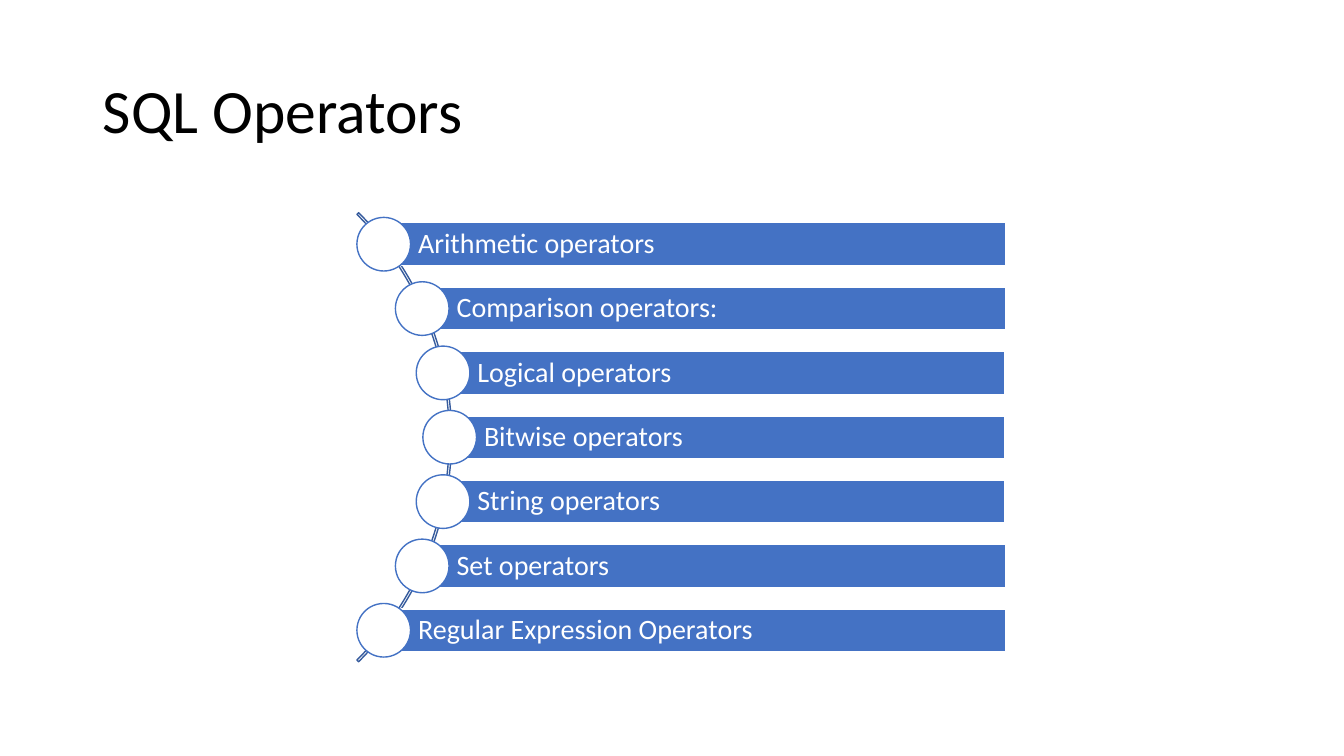
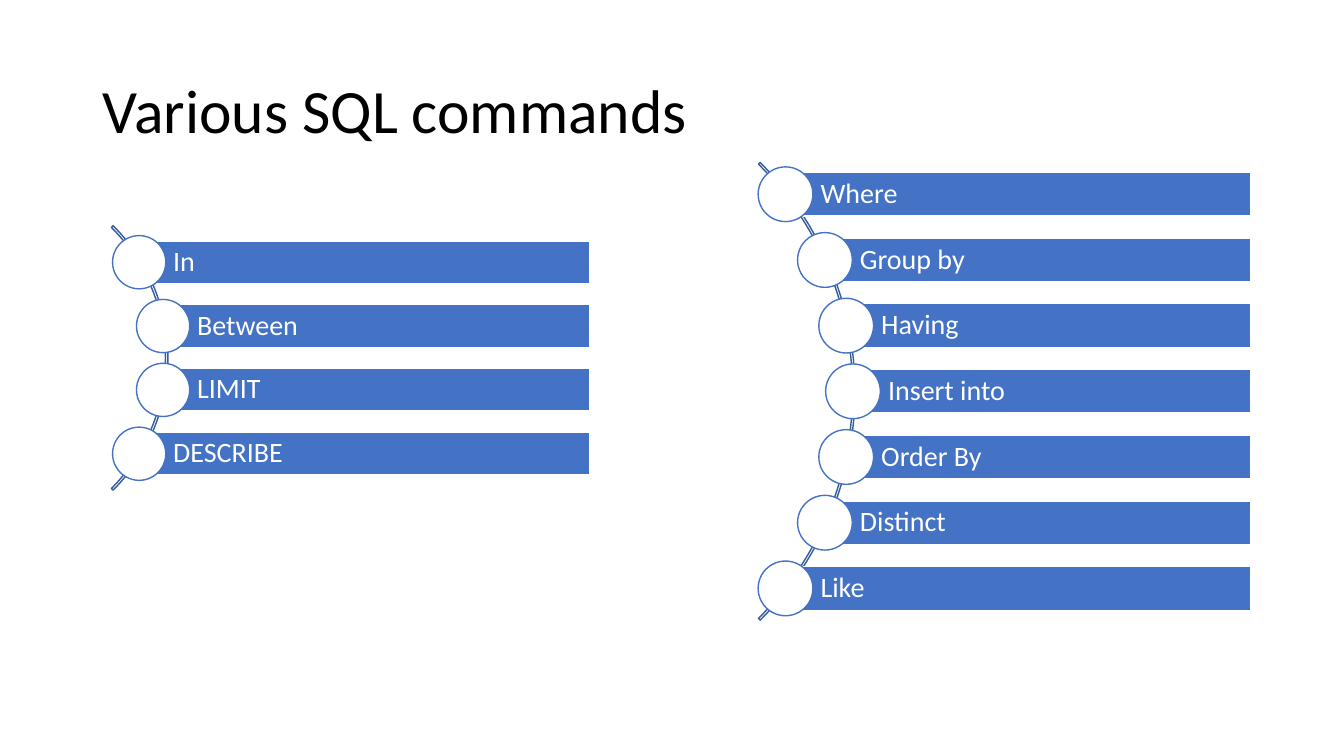
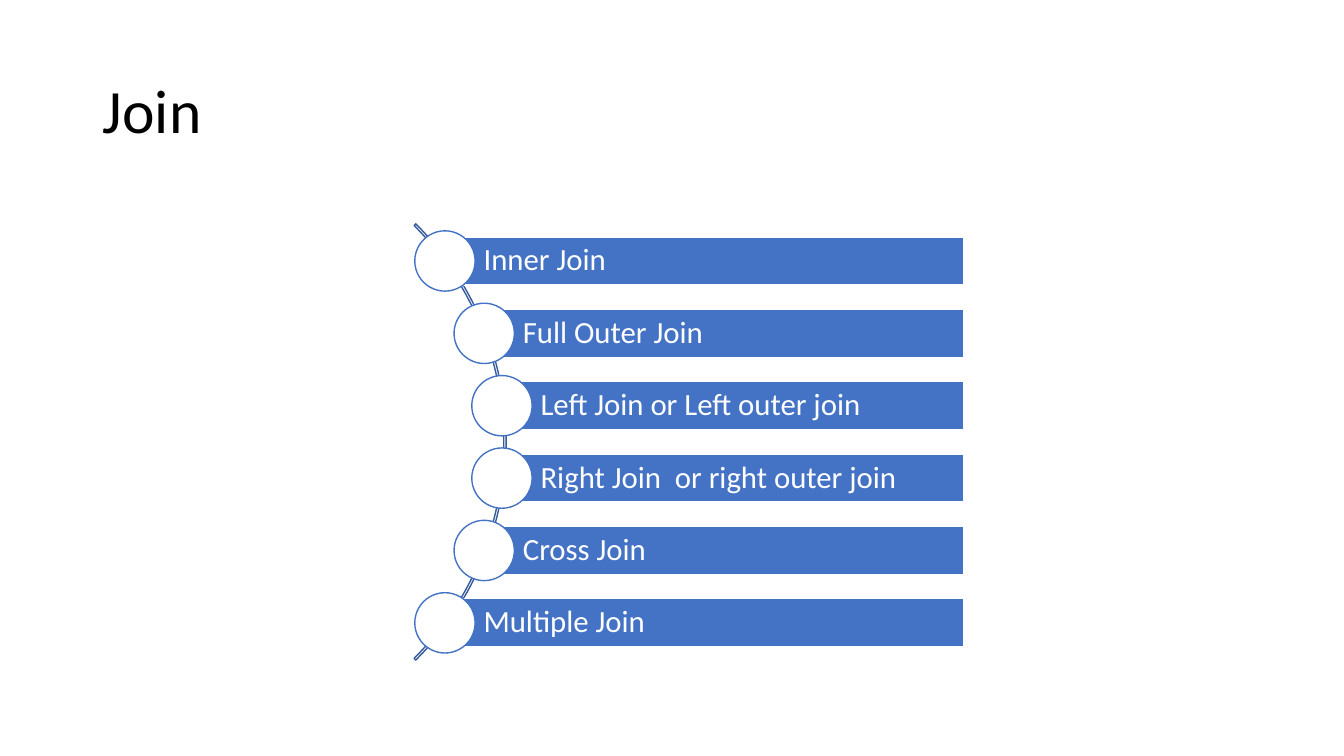
import math

import pptx
import pptx.dml.color
import pptx.enum.shapes
import pptx.enum.text
import pptx.util

Inches = pptx.util.Inches
Pt = pptx.util.Pt
RGBColor = pptx.dml.color.RGBColor
SHAPE = pptx.enum.shapes.MSO_SHAPE
ALIGN = pptx.enum.text.PP_ALIGN
MIDDLE = pptx.enum.text.MSO_ANCHOR.MIDDLE
NO_FIT = pptx.enum.text.MSO_AUTO_SIZE.NONE

THEME = {
    "font": "Calibri",
    "title": RGBColor.from_string("000000"),
    "bar": RGBColor.from_string("4472C4"),
    "rail": RGBColor.from_string("365B9D"),
    "white": RGBColor.from_string("FFFFFF"),
    "title_size": Pt(44),
    "line": Pt(1),
    "rail_thickness": Pt(1.7),
}
TITLE_BOX = {"left": Inches(0.92), "top": Inches(0.4),
             "width": Inches(11.5), "height": Inches(1.45)}

# Each list hangs on a circle: its centre and diameter, the tops of the
# first and last bar, the right edge of the bars, and the type size.
SLIDES = [
    ("SQL Operators", [
        {"center": 1.33, "diameter": 6.3, "first": 2.21, "last": 6.04, "right": 9.97, "size": 20,
         "items": ["Arithmetic operators", "Comparison operators:", "Logical operators",
                   "Bitwise operators", "String operators", "Set operators",
                   "Regular Expression Operators"]},
    ]),
    ("Various SQL commands", [
        {"center": -0.19, "diameter": 3.71, "first": 2.39, "last": 4.29, "right": 5.85, "size": 20,
         "items": ["In", "Between", "LIMIT", "DESCRIBE"]},
        {"center": 5.27, "diameter": 6.42, "first": 1.71, "last": 5.62, "right": 12.41, "size": 20,
         "items": ["Where", "Group by", "Having", "Insert into", "Order By", "Distinct", "Like"]},
    ]),
    ("Join", [
        {"center": 1.96, "diameter": 6.12, "first": 2.35, "last": 5.94, "right": 9.56, "size": 22,
         "items": ["Inner Join", "Full Outer Join", "Left Join or Left outer join",
                   "Right Join  or right outer join", "Cross Join", "Multiple Join"]},
    ]),
]


def format_text(frame, text, color, size, frame_values):
    """Write one left-aligned line, centred vertically in its frame."""
    frame.text = text
    paragraph = frame.paragraphs[0]
    formats = [
        (frame, {"word_wrap": True, "auto_size": NO_FIT, "vertical_anchor": MIDDLE, **frame_values}),
        (paragraph, {"alignment": ALIGN.LEFT, "line_spacing": 0.9}),
        (paragraph.runs[0].font, {"name": THEME["font"], "size": size}),
    ]
    for target, values in formats:
        for name, value in values.items():
            setattr(target, name, value)
    paragraph.runs[0].font.color.rgb = color


def add_shape(shapes, kind, box, fill, line):
    """Add a flat shape; a fill of None leaves it open."""
    shape = shapes.add_shape(kind, *(Inches(length) for length in box))
    shape.shadow.inherit = False
    if fill is None:
        shape.fill.background()
    else:
        shape.fill.solid()
        shape.fill.fore_color.rgb = fill
    shape.line.color.rgb = line
    shape.line.width = THEME["line"]
    return shape


presentation = pptx.Presentation()
presentation.slide_width = Inches(13.33)
presentation.slide_height = Inches(7.5)

# Shared title position
layout = presentation.slide_layouts.get_by_name("Title Only")
for name, value in TITLE_BOX.items():
    setattr(layout.placeholders[0], name, value)

for title, curved_lists in SLIDES:
    slide = presentation.slides.add_slide(layout)
    format_text(slide.shapes.title.text_frame, title, THEME["title"], THEME["title_size"], {})

    for curved in curved_lists:
        shapes = slide.shapes.add_group_shape().shapes
        step = (curved["last"] - curved["first"]) / (len(curved["items"]) - 1)
        bar_height = step / 1.5
        disc = bar_height * 1.25
        middle = (curved["first"] + curved["last"] + bar_height) / 2
        diameter = curved["diameter"]
        radius = diameter / 2 - 0.02

        # Curved rail, from 315 to 45 degrees
        rail = add_shape(shapes, SHAPE.BLOCK_ARC,
                         (curved["center"] - diameter / 2, middle - diameter / 2, diameter, diameter),
                         None, THEME["rail"])
        rail.adjustments[0] = 189
        rail.adjustments[1] = 27
        rail.adjustments[2] = THEME["rail_thickness"] / Inches(diameter)

        # Bars start on the rail, each with a disc at its left end
        for index, item in enumerate(curved["items"]):
            top = curved["first"] + index * step
            center_y = top + bar_height / 2
            left = curved["center"] + math.sqrt(radius ** 2 - (center_y - middle) ** 2)
            bar = add_shape(shapes, SHAPE.RECTANGLE,
                            (left, top, curved["right"] - left, bar_height),
                            THEME["bar"], THEME["white"])
            margins = {f"margin_{side}": Inches(0.06) for side in ("top", "right", "bottom")}
            margins["margin_left"] = Inches(bar_height * 0.8)
            format_text(bar.text_frame, item, THEME["white"], Pt(curved["size"]), margins)
            add_shape(shapes, SHAPE.OVAL,
                      (left - disc / 2, center_y - disc / 2, disc, disc),
                      THEME["white"], THEME["bar"])

presentation.save("out.pptx")
